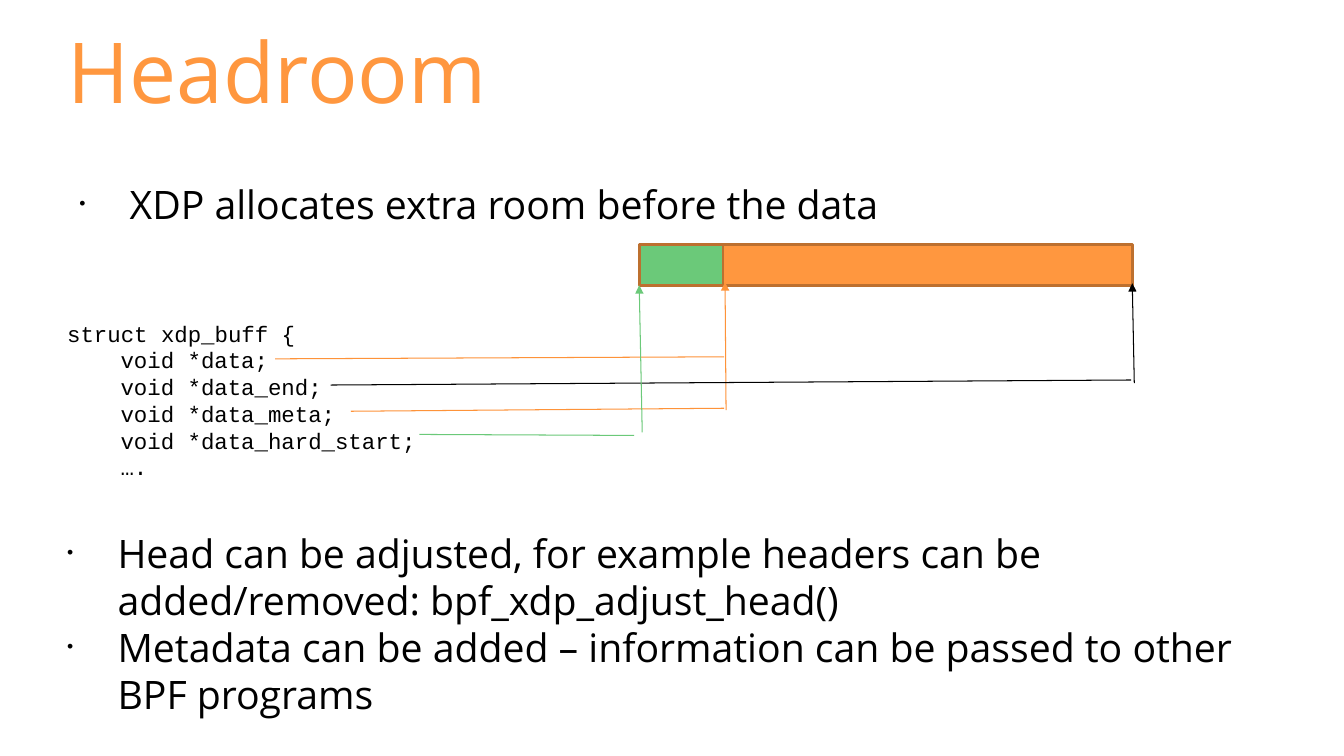
from lxml import etree
from pptx import Presentation
from pptx import util as u
from pptx.dml import color
from pptx.enum import shapes, text
from pptx.oxml import ns

WIDTH, HEIGHT = 13.33, 7.5
ORANGE, GREEN, BROWN, BLACK = "FF973F", "6BC979", "BD702F", "000000"
POINTER = "FE9339"
CODE = ["void *data;", "void *data_end;", "void *data_meta;",
        "void *data_hard_start;", "…."]
BULLETS = ["Head can be adjusted, for example headers can be added/removed:\u00a0bpf_xdp_adjust_head()",
           "Metadata can be added – information can be passed to other BPF programs"]


def rgb(value):
    """Turn a hex string into a colour."""
    return color.RGBColor.from_string(value)


def inches(*values):
    """Turn numbers into lengths in inches."""
    return [u.Inches(v) for v in values]


def add_xml(parent, tag, **attrs):
    """Append a DrawingML element and return it."""
    return etree.SubElement(parent, ns.qn(tag), attrs)


def place(sp, box, anchor, top=0):
    """Move a placeholder to a box and set up its text frame."""
    sp.left, sp.top, sp.width, sp.height = inches(*box)
    tf = sp.text_frame
    frame = dict(margin_left=0, margin_right=0, margin_top=u.Inches(top), margin_bottom=0,
                 word_wrap=True, auto_size=text.MSO_AUTO_SIZE.NONE, vertical_anchor=anchor)
    for name, value in frame.items():
        setattr(tf, name, value)
    return tf


def write(p, words, size, font, fill=BLACK, **spacing):
    """Write one left-aligned run into a paragraph."""
    settings = dict(alignment=text.PP_ALIGN.LEFT, space_before=u.Pt(0), space_after=u.Pt(0))
    for name, value in {**settings, **spacing}.items():
        setattr(p, name, value)
    r = p.add_run()
    r.text = words
    r.font.size, r.font.name = u.Pt(size), font
    r.font.color.rgb = rgb(fill)


def indent(p, left, hanging=0, bullet=False):
    """Set the indent of a paragraph and its bullet."""
    pPr = p._p.get_or_add_pPr()
    pPr.set("marL", str(u.Inches(left)))
    pPr.set("indent", str(u.Inches(-hanging)))
    if not bullet:
        add_xml(pPr, "a:buNone")
        return
    add_xml(add_xml(pPr, "a:buClr"), "a:srgbClr", val=BLACK)
    add_xml(pPr, "a:buSzPct", val="45000")
    add_xml(pPr, "a:buChar", char="•")


def add_title(s, box):
    """Fill the title placeholder."""
    tf = place(s.shapes.title, box, text.MSO_ANCHOR.MIDDLE)
    write(tf.paragraphs[0], "Headroom", 60, "Open Sans", ORANGE, line_spacing=0.9)


def add_body(s, box):
    """Fill the body placeholder with bullets around the struct listing."""
    tf = place(s.placeholders[1], box, text.MSO_ANCHOR.TOP, top=0.04)
    rows = [("XDP allocates extra room before the data", True, 0.62, 0),
            ("struct xdp_buff {", False, 0, 66)]
    rows += [(line, False, 0.53, 0) for line in CODE]
    rows += [(line, True, 0.5, gap) for line, gap in zip(BULLETS, (35, 0))]
    for i, (words, bullet, left, gap) in enumerate(rows):
        p = tf.add_paragraph() if i else tf.paragraphs[0]
        size, font, pitch = (28, "Open Sans", 33.5) if bullet else (16, "Courier New", 19.15)
        write(p, words, size, font, line_spacing=u.Pt(pitch), space_before=u.Pt(gap))
        indent(p, left, 0.5 if bullet else 0, bullet)


def add_line(s, start, end, fill, arrow=False):
    """Draw a thin line, with an arrowhead at its end if wanted."""
    c = s.shapes.add_connector(shapes.MSO_CONNECTOR.STRAIGHT, *inches(*start, *end))
    c.line.width, c.line.color.rgb = u.Pt(0.75), rgb(fill)
    spPr = c._element.spPr
    if arrow:
        add_xml(spPr.find(ns.qn("a:ln")), "a:tailEnd", type="triangle")
    add_xml(spPr, "a:effectLst")


def add_buffer(s, box):
    """Draw the packet buffer, headroom first, and the pointers into it."""
    left, top, width, height = box
    head = 0.17 * width
    for x, w, fill in ((left, head, GREEN), (left + head, width - head, ORANGE)):
        sp = s.shapes.add_shape(shapes.MSO_SHAPE.RECTANGLE, *inches(x, top, w, height))
        sp.shadow.inherit = False
        sp.fill.solid()
        sp.fill.fore_color.rgb = rgb(fill)
        sp.line.width, sp.line.color.rgb = u.Pt(2), rgb(BROWN)
    data, end, bottom = left + head, left + width, top + height
    pointers = [((data + 0.03, 4.07), (data + 0.02, bottom - 0.03), POINTER, True),
                ((3.48, 4.08), (data + 0.01, 4.05), POINTER),
                ((2.73, 3.56), (data + 0.01, 3.54), POINTER),
                ((3.28, 3.82), (end - 0.01, 3.77), BLACK),
                ((end + 0.02, 3.8), (end, bottom - 0.02), BLACK, True),
                ((4.16, 4.31), (left - 0.05, 4.32), GREEN),
                ((left + 0.03, 4.29), (left, bottom), GREEN, True)]
    for pointer in pointers:
        add_line(s, *pointer)


def main():
    """Build the slide and save it."""
    prs = Presentation()
    prs.slide_width, prs.slide_height = inches(WIDTH, HEIGHT)
    s = prs.slides.add_slide(prs.slide_layouts[1])
    margin = 0.05 * WIDTH
    add_title(s, (margin, 0.04 * HEIGHT, 0.9 * WIDTH, 0.91))
    add_body(s, (margin, 1.75, 0.9 * WIDTH, 5.41))
    add_buffer(s, (6.34, 2.43, 4.89, 0.4))
    prs.save("out.pptx")


if __name__ == "__main__":
    main()
